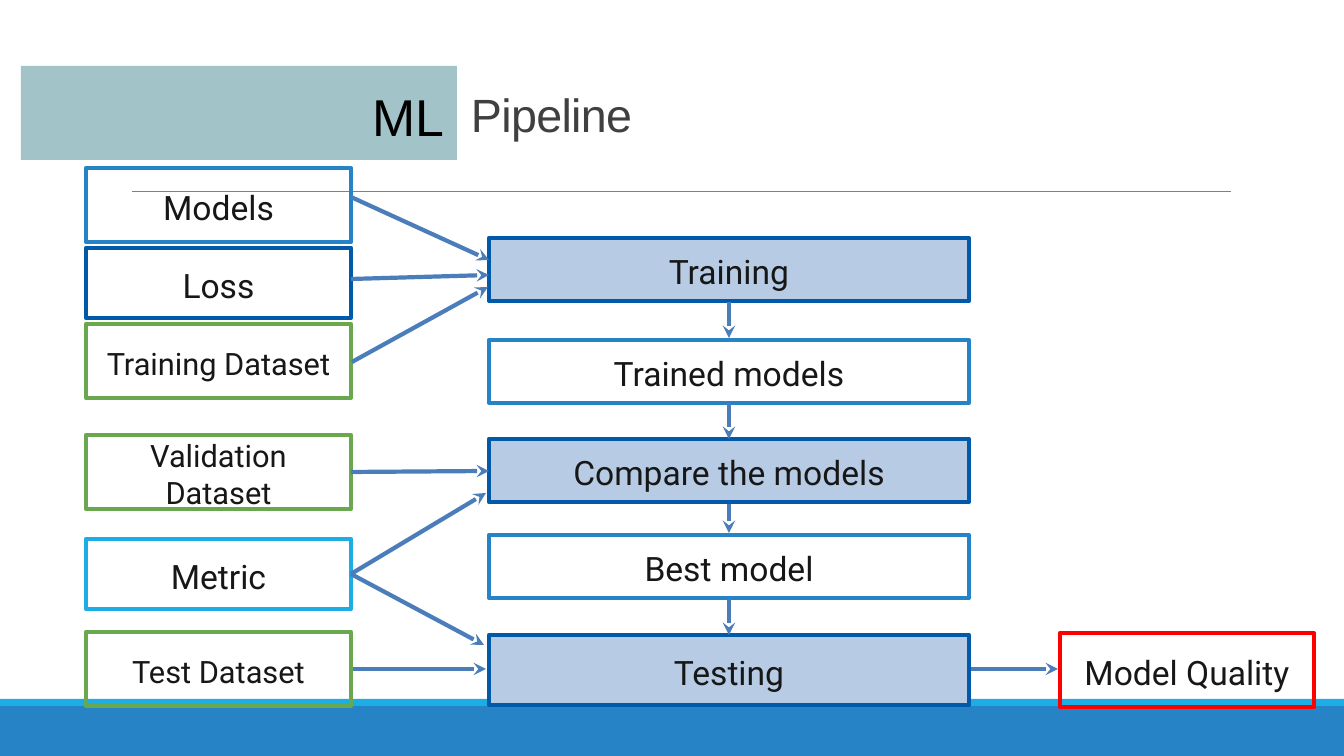
from lxml import etree
from pptx import Presentation
from pptx import util as u
from pptx.dml.color import RGBColor
from pptx.enum import shapes, text
from pptx.oxml.ns import qn

PX = 914400 / 100.8
COLORS = {
    "footer": "2683C6", "stripe": "1CADE4", "rule": "808080",
    "step": "B7CCE4", "navy": "0059A9", "blue": "2683C6", "sky": "1CADE4",
    "green": "6AA84F", "red": "FF0000", "arrow": "4A7DBA",
    "label": "171717", "badge": "A2C4C9", "black": "000000", "title": "404040",
}


def px(value):
    return u.Emu(round(value * PX))


def rgb(name):
    return RGBColor.from_string(COLORS[name])


class PipelineSlide:
    """Draws the elements of the slide in one shared style."""

    def __init__(self, presentation):
        self.slide = presentation.slides.add_slide(presentation.slide_layouts[6])

    def set_label(self, shape, words, size, font, color, align, insets):
        frame = shape.text_frame
        frame.word_wrap = True
        frame.vertical_anchor = text.MSO_ANCHOR.MIDDLE
        frame.margin_left = frame.margin_right = px(insets[0])
        frame.margin_top, frame.margin_bottom = px(insets[1]), px(insets[2])
        frame.text = words
        paragraph = frame.paragraphs[0]
        paragraph.alignment = align
        run = paragraph.runs[0]
        run.font.size = u.Pt(size)
        run.font.name = font
        run.font.color.rgb = rgb(color)
        return run

    def rect(self, x, y, width, height, fill=None, line=None):
        shape = self.slide.shapes.add_shape(
            shapes.MSO_SHAPE.RECTANGLE, px(x), px(y), px(width), px(height))
        shape.shadow.inherit = False
        if fill:
            shape.fill.solid()
            shape.fill.fore_color.rgb = rgb(fill)
        else:
            shape.fill.background()
        if line:
            shape.line.color.rgb = rgb(line)
            shape.line.width = u.Pt(3)
        else:
            shape.line.fill.background()
        return shape

    def box(self, words, x, y, width, height, line, fill=None, size=24):
        shape = self.rect(x, y, width, height, fill, line)
        self.set_label(shape, words, size, "Roboto", "label",
                       text.PP_ALIGN.CENTER, (13, 4, 0))

    def badge(self, words, x, y, width, height):
        shape = self.rect(x, y, width, height, "badge")
        self.set_label(shape, words, 37, "Arial", "black",
                       text.PP_ALIGN.RIGHT, (13, 16, 11))

    def title(self, words, x, y, width, height):
        shape = self.slide.shapes.add_textbox(px(x), px(y), px(width), px(height))
        run = self.set_label(shape, words, 33.3, "Arial", "title",
                             text.PP_ALIGN.LEFT, (13, 13, 13))
        run._r.get_or_add_rPr().set("spc", "-50")

    def line(self, x1, y1, x2, y2, color, width):
        connector = self.slide.shapes.add_connector(
            shapes.MSO_CONNECTOR.STRAIGHT, px(x1), px(y1), px(x2), px(y2))
        connector.line.color.rgb = rgb(color)
        connector.line.width = u.Pt(width)
        etree.SubElement(connector._element.spPr, qn("a:effectLst"))
        return connector

    def arrow(self, x1, y1, x2, y2):
        connector = self.line(x1, y1, x2, y2, "arrow", 3)
        outline = connector._element.spPr.find(qn("a:ln"))
        etree.SubElement(outline, qn("a:tailEnd"), type="stealth")


def main():
    presentation = Presentation()
    presentation.slide_width, presentation.slide_height = px(1344), px(756)
    page = PipelineSlide(presentation)

    # Footer bands and title rule
    page.rect(0, 706, 1344, 50, "footer")
    page.rect(0, 699, 1344, 7, "stripe")
    page.line(132, 191, 1231, 191, "rule", 0.5)

    # Heading
    page.badge("ML", 21, 66, 436, 94)
    page.title("Pipeline", 458, 69, 878, 90)

    # Inputs
    for words, y, height, line, size in [
        ("Models", 168, 74, "blue", 24),
        ("Loss", 248, 70, "navy", 24),
        ("Training Dataset", 324, 74, "green", 22),
        ("Validation Dataset", 435, 74, "green", 22),
        ("Metric", 539, 70, "sky", 24),
        ("Test Dataset", 632, 74, "green", 22),
    ]:
        page.box(words, 86, y, 265, height, line, size=size)

    # Steps (filled) and their results (outlined)
    for words, y, height, line, fill in [
        ("Training", 238, 63, "navy", "step"),
        ("Trained models", 340, 63, "blue", None),
        ("Compare the models", 439, 63, "navy", "step"),
        ("Best model", 535, 63, "blue", None),
        ("Testing", 635, 70, "navy", "step"),
    ]:
        page.box(words, 489, y, 480, height, line, fill)
    page.box("Model Quality", 1060, 633, 254, 74, "red")

    # Arrows from the inputs to the steps
    for x1, y1, x2, y2 in [
        (351, 197, 489, 260), (351, 279, 489, 275), (352, 362, 488, 287),
        (351, 472, 489, 471), (351, 574, 486, 493), (351, 574, 484, 645),
        (353, 669, 486, 669),
    ]:
        page.arrow(x1, y1, x2, y2)

    # Arrows down the steps and on to the final result
    for top, bottom in [(302, 338), (403, 439), (504, 533), (599, 635)]:
        page.arrow(729, top, 729, bottom)
    page.arrow(971, 669, 1058, 669)

    presentation.save("out.pptx")


if __name__ == "__main__":
    main()
